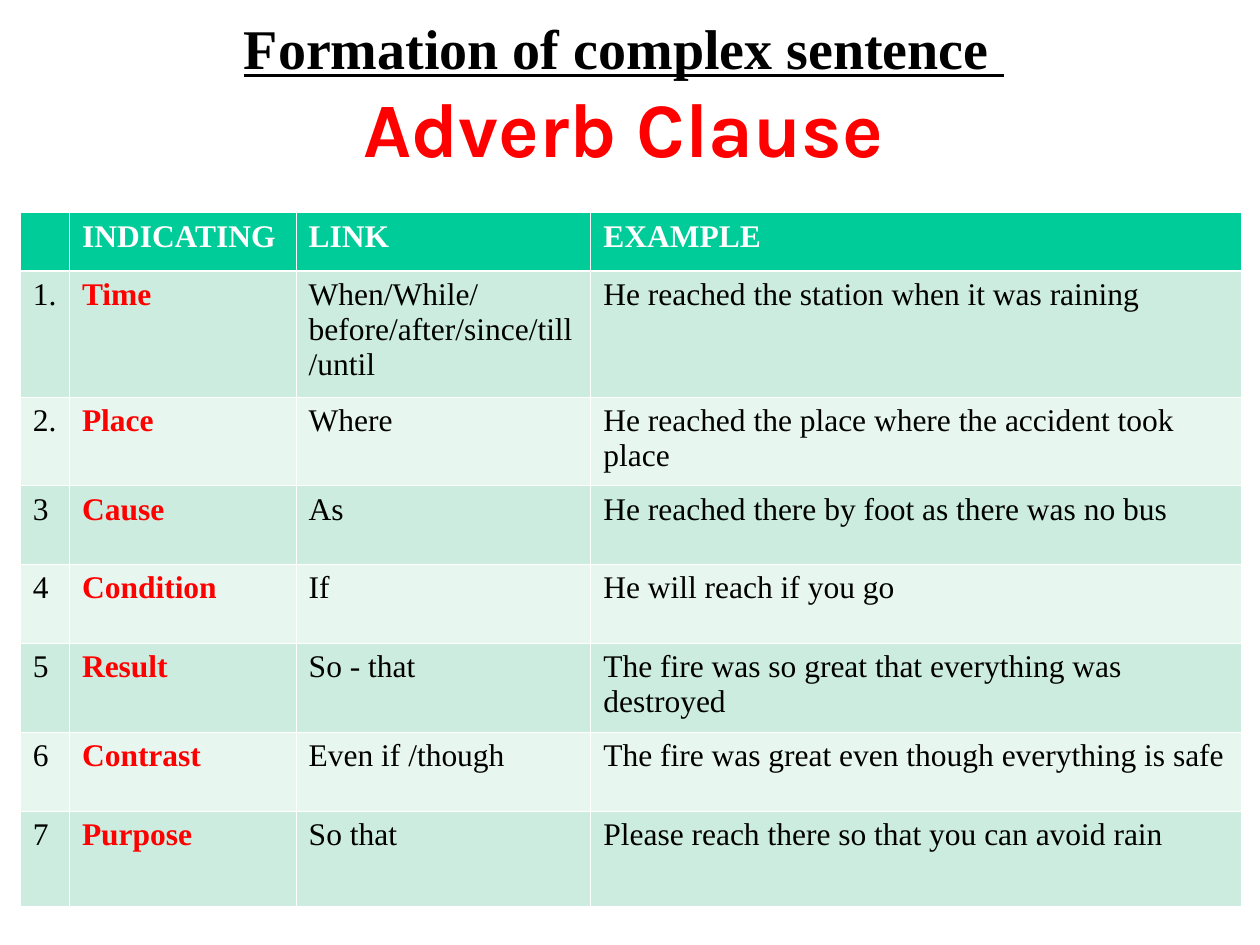
from lxml.etree import SubElement
from pptx import Presentation
from pptx.dml.color import RGBColor
from pptx.enum.text import MSO_ANCHOR, MSO_AUTO_SIZE, PP_ALIGN
from pptx.oxml.ns import qn
from pptx.util import Cm, Pt

BLACK = RGBColor(0, 0, 0)
WHITE = RGBColor(255, 255, 255)
RED = RGBColor(255, 0, 0)
GREEN = RGBColor(0x00, 0xCC, 0x99)
BANDS = (RGBColor(0xE7, 0xF6, 0xEF), RGBColor(0xCB, 0xEC, 0xDE))
SERIF = "Times New Roman"

TITLE_LINES = [
    ("Formation of complex sentence ",
     dict(name=SERIF, size=Pt(32), bold=True, underline=True), BLACK),
    ("Adverb Clause",
     dict(name="Karla", size=Pt(44), bold=True, underline=False), RED),
]
CLAUSES = [
    ("", "INDICATING", "LINK", "EXAMPLE"),
    ("1.", "Time", "When/While/before/after/since/till /until",
     "He reached the station when it was raining"),
    ("2.", "Place", "Where", "He reached the place where the accident took place"),
    ("3", "Cause", "As", "He reached there by foot as there was no bus"),
    ("4", "Condition", "If", "He will reach if you go"),
    ("5", "Result", "So - that",
     "The fire was so great that everything was destroyed"),
    ("6", "Contrast", "Even if /though",
     "The fire was great even though everything is safe"),
    ("7", "Purpose", "So that", "Please reach there so that you can avoid rain"),
]
COLUMN_WIDTHS = (0.99, 4.57, 5.94, 13.11)
ROW_HEIGHTS = (1.17, 2.54, 1.79, 1.59, 1.59, 1.79, 1.59, 1.92)
THIN, THICK = Pt(0.45), Pt(1.47)


def add_span(para, text, values, color):
    span = para.add_run()
    span.text = text
    for name, value in values.items():
        setattr(span.font, name, value)
    span.font.color.rgb = color


def add_borders(cell, row):
    """Draw white cell edges, thicker between the header and the first row."""
    properties = cell._tc.get_or_add_tcPr()
    widths = dict(lnL=THIN, lnR=THIN, lnT=THICK if row == 1 else THIN,
                  lnB=THICK if row == 0 else THIN)
    for tag, width in widths.items():
        line = SubElement(properties, qn(f"a:{tag}"), w=str(int(width)))
        fill = SubElement(line, qn("a:solidFill"))
        SubElement(fill, qn("a:srgbClr"), val=str(WHITE))


def add_title(page):
    title = page.shapes.title
    title.left, title.top, title.width, title.height = (
        Cm(1.78), Cm(0), Cm(21.59), Cm(3.76))
    frame = title.text_frame
    frame.auto_size = MSO_AUTO_SIZE.NONE
    frame.vertical_anchor = MSO_ANCHOR.MIDDLE
    para = frame.paragraphs[0]
    para.alignment = PP_ALIGN.CENTER
    for number, (text, values, color) in enumerate(TITLE_LINES):
        if number:
            para.add_line_break()
        add_span(para, text, values, color)


def add_clause_table(page):
    table = page.shapes.add_table(
        len(CLAUSES), len(COLUMN_WIDTHS), Cm(0.41), Cm(4.29),
        Cm(sum(COLUMN_WIDTHS)), Cm(sum(ROW_HEIGHTS))).table
    for column, width in zip(table.columns, COLUMN_WIDTHS):
        column.width = Cm(width)
    for row, height in zip(table.rows, ROW_HEIGHTS):
        row.height = Cm(height)
    for row, texts in enumerate(CLAUSES):
        for column, text in enumerate(texts):
            cell = table.cell(row, column)
            add_borders(cell, row)
            cell.fill.solid()
            cell.fill.fore_color.rgb = BANDS[row % 2] if row else GREEN
            para = cell.text_frame.paragraphs[0]
            para.font.size = Pt(18)
            if text:
                color = WHITE if row == 0 else RED if column == 1 else BLACK
                values = dict(name=SERIF, size=Pt(18), bold=color != BLACK)
                add_span(para, text, values, color)


def main():
    deck = Presentation()
    deck.slide_width, deck.slide_height = Cm(25.4), Cm(19.05)
    page = deck.slides.add_slide(deck.slide_layouts[5])
    add_title(page)
    add_clause_table(page)
    deck.save("out.pptx")


if __name__ == "__main__":
    main()
